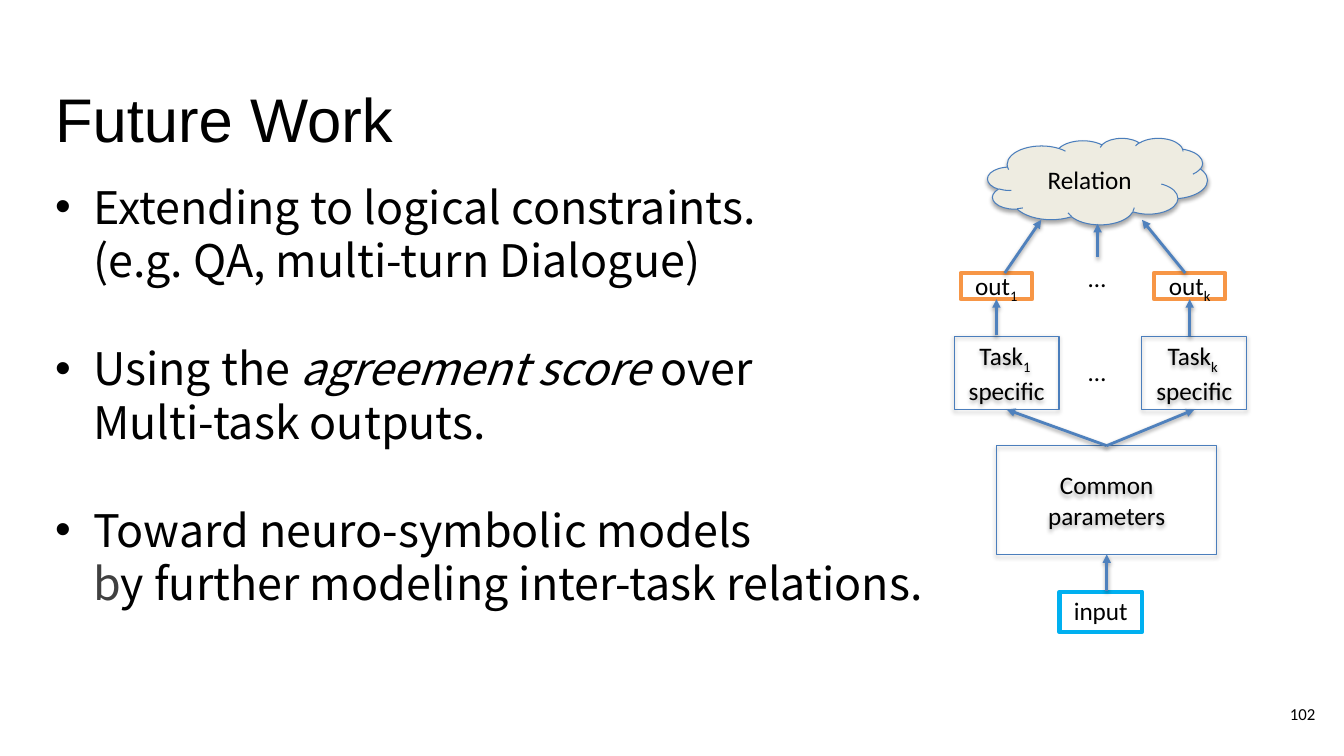
from dataclasses import dataclass

from lxml import etree
from pptx import Presentation
from pptx import util as u
from pptx.dml.color import RGBColor
from pptx.enum import shapes, text
from pptx.oxml.ns import qn

BLACK = RGBColor(0x00, 0x00, 0x00)
GRAY = RGBColor(0x40, 0x40, 0x40)
EDGE = RGBColor(0x4B, 0x7E, 0xBC)
BLUE = RGBColor(0x4F, 0x81, 0xBD)
ORANGE = RGBColor(0xF7, 0x96, 0x46)
CYAN = RGBColor(0x00, 0xB0, 0xF0)
CREAM = RGBColor(0xEE, 0xEC, 0xE1)

RECT = shapes.MSO_SHAPE.RECTANGLE
CLOUD = shapes.MSO_SHAPE.CLOUD
CENTER = text.PP_ALIGN.CENTER
MIDDLE = text.MSO_ANCHOR.MIDDLE
TOP, BOTTOM = 0, 2


@dataclass
class Run:
    words: str
    base: int = 0
    slant: bool = False
    color: RGBColor = BLACK


@dataclass
class Node:
    name: str
    x: float
    y: float
    w: float
    h: float
    runs: list[Run]
    kind: int = RECT
    edge: RGBColor = EDGE
    width: float = 0.75
    fill: RGBColor | None = None
    shade: bool = True


@dataclass
class Arrow:
    """Ends are points in cm; a named end is joined to that node."""
    start: tuple[float, float]
    end: tuple[float, float]
    tail: str = ""
    head: str = ""


def task(mark: str, x: float) -> Node:
    runs = [Run("Task"), Run(mark + " \n", base=-25), Run("specific")]
    return Node("task" + mark, x, 8.47, 2.64, 1.85, runs)


def out(mark: str, x: float) -> Node:
    runs = [Run("out"), Run(mark, base=-25)]
    return Node("out" + mark, x, 6.88, 1.8, 0.66, runs,
                edge=ORANGE, width=3, shade=False)


NODES = [
    Node("common", 25.12, 11.23, 5.54, 2.74, [Run("Common\nparameters")]),
    task("1", 24.05),
    task("k", 28.78),
    out("1", 24.21),
    out("k", 29.08),
    Node("input", 26.7, 14.91, 2.08, 1.02, [Run("input")],
         edge=CYAN, width=3, shade=False),
    Node("cloud", 24.89, 3.48, 5.54, 2.18, [Run("Relation")],
         kind=CLOUD, fill=CREAM),
]

ARROWS = [
    Arrow((27.89, 11.23), (25.37, 10.32), "common", "task1"),
    Arrow((27.89, 11.23), (30.1, 10.32), "common", "taskk"),
    Arrow((27.89, 14.88), (27.89, 13.97), head="common"),
    Arrow((25.11, 8.45), (25.11, 7.54), head="out1"),
    Arrow((29.98, 8.47), (29.98, 7.54), head="outk"),
    Arrow((25.32, 6.88), (26.24, 5.54)),
    Arrow((29.87, 6.88), (28.78, 5.54)),
    Arrow((27.66, 6.48), (27.66, 5.64)),
]

POINTS = [
    [Run("Extending to logical constraints. \n(e.g. QA, multi-turn Dialogue)")],
    [Run("Using the "), Run("agreement score ", slant=True),
     Run("over\nMulti-task outputs.")],
    [Run("Toward neuro-symbolic models \n"), Run("b", color=GRAY),
     Run("y further modeling inter-task relations.")],
]


def shadow(part, alpha: int, dist: float) -> None:
    """Gives a part a soft shadow that falls straight down."""
    props = part._element.spPr
    effects = props.find(qn("a:effectLst"))
    if effects is None:
        effects = etree.SubElement(props, qn("a:effectLst"))
    outer = etree.SubElement(
        effects, qn("a:outerShdw"), blurRad=str(u.Pt(3.1)),
        dist=str(u.Pt(dist)), dir="5400000", rotWithShape="0")
    color = etree.SubElement(outer, qn("a:srgbClr"), val=str(BLACK))
    etree.SubElement(color, qn("a:alpha"), val=str(alpha * 1000))


def write(frame, paras: list[list[Run]], *, size: float = 18,
          font: str = "Calibri", align=text.PP_ALIGN.LEFT,
          anchor=text.MSO_ANCHOR.TOP, wrap: bool = True,
          inset: tuple[float, float] = (0.25, 0.13), gap: float = 0,
          pitch: float = 1, bullet: bool = False) -> None:
    frame.word_wrap = wrap
    frame.vertical_anchor = anchor
    frame.margin_left = frame.margin_right = u.Cm(inset[0])
    frame.margin_top = frame.margin_bottom = u.Cm(inset[1])
    for i, runs in enumerate(paras):
        para = frame.add_paragraph() if i else frame.paragraphs[0]
        if bullet:
            props = para._p.get_or_add_pPr()
            props.set("marL", str(u.Cm(0.96)))
            props.set("indent", str(u.Cm(-0.96)))
            etree.SubElement(props, qn("a:buFont"), typeface="Arial")
            etree.SubElement(props, qn("a:buChar"), char="•")
        para.alignment = align
        para.line_spacing = pitch
        if i and gap:
            para.space_before = u.Pt(gap)
        for item in runs:
            for j, line in enumerate(item.words.split("\n")):
                if j:
                    para.add_line_break()
                if not line:
                    continue
                run = para.add_run()
                run.text = line
                run.font.size = u.Pt(size)
                run.font.name = font
                run.font.italic = item.slant
                run.font.color.rgb = item.color
                if item.base:
                    run.font._element.set("baseline", str(item.base * 1000))


def label(slide, x: float, y: float, w: float, h: float,
          paras: list[list[Run]], **style) -> None:
    box = slide.shapes.add_textbox(u.Cm(x), u.Cm(y), u.Cm(w), u.Cm(h))
    write(box.text_frame, paras, **style)


def block(slide, node: Node):
    shape = slide.shapes.add_shape(
        node.kind, u.Cm(node.x), u.Cm(node.y), u.Cm(node.w), u.Cm(node.h))
    shape.shadow.inherit = False
    if node.fill is None:
        shape.fill.background()
    else:
        shape.fill.solid()
        shape.fill.fore_color.rgb = node.fill
    shape.line.color.rgb = node.edge
    shape.line.width = u.Pt(node.width)
    style = {"align": CENTER, "anchor": MIDDLE}
    if node.shade:
        shadow(shape, 35, 1.8)
    else:
        style |= {"wrap": False, "inset": (0, 0), "pitch": 0.9}
    write(shape.text_frame, [node.runs], **style)
    return shape


def link(slide, arrow: Arrow, blocks: dict) -> None:
    ends = [u.Cm(n) for n in (*arrow.start, *arrow.end)]
    line = slide.shapes.add_connector(shapes.MSO_CONNECTOR.STRAIGHT, *ends)
    if arrow.tail:
        line.begin_connect(blocks[arrow.tail], TOP)
    if arrow.head:
        line.end_connect(blocks[arrow.head], BOTTOM)
    line.line.color.rgb = BLUE
    line.line.width = u.Pt(2)
    etree.SubElement(line.line._get_or_add_ln(), qn("a:tailEnd"),
                     type="triangle")
    shadow(line, 38, 1.6)


def main() -> None:
    deck = Presentation()
    deck.slide_width, deck.slide_height = u.Cm(33.87), u.Cm(19.05)
    slide = deck.slides.add_slide(deck.slide_layouts[6])

    label(slide, 1.14, 1.65, 31.55, 2.13, [[Run("Future Work")]],
          size=44, font="Arial", inset=(0.25, 0.4))
    label(slide, 1.14, 4.27, 31.55, 14.17, POINTS, size=32,
          font="Noto Sans CJK KR", inset=(0.25, 0.25), gap=38.5, bullet=True)
    label(slide, 31.37, 17.27, 2.03, 1.45, [[Run("102")]], size=12,
          align=text.PP_ALIGN.RIGHT, anchor=MIDDLE, inset=(0.25, 0.25))

    blocks = {node.name: block(slide, node) for node in NODES}
    for y in (6.48, 8.86):
        label(slide, 27.18, y, 0.97, 1.02, [[Run("…")]], wrap=False)
    for arrow in ARROWS:
        link(slide, arrow, blocks)
    deck.save("out.pptx")


if __name__ == "__main__":
    main()
